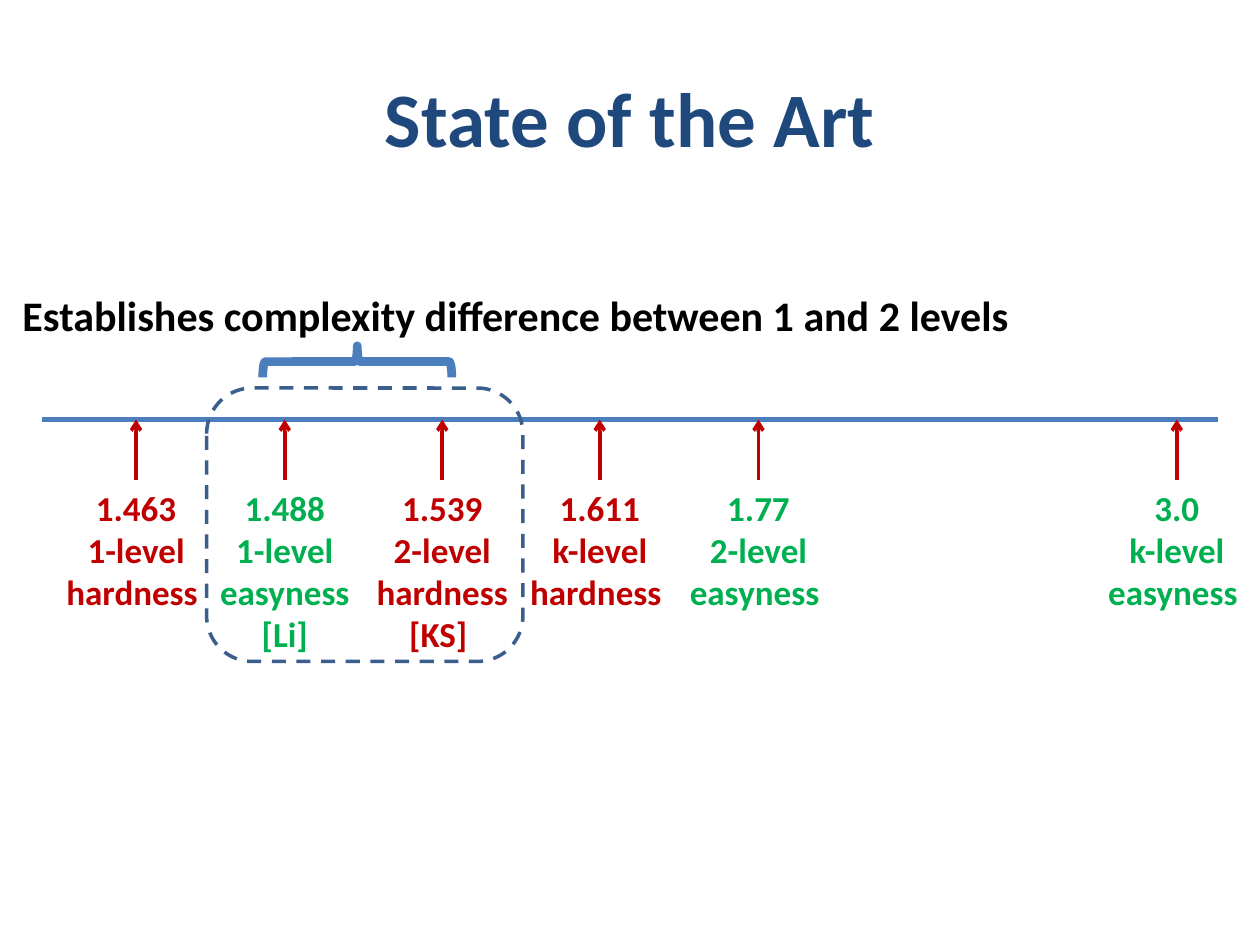
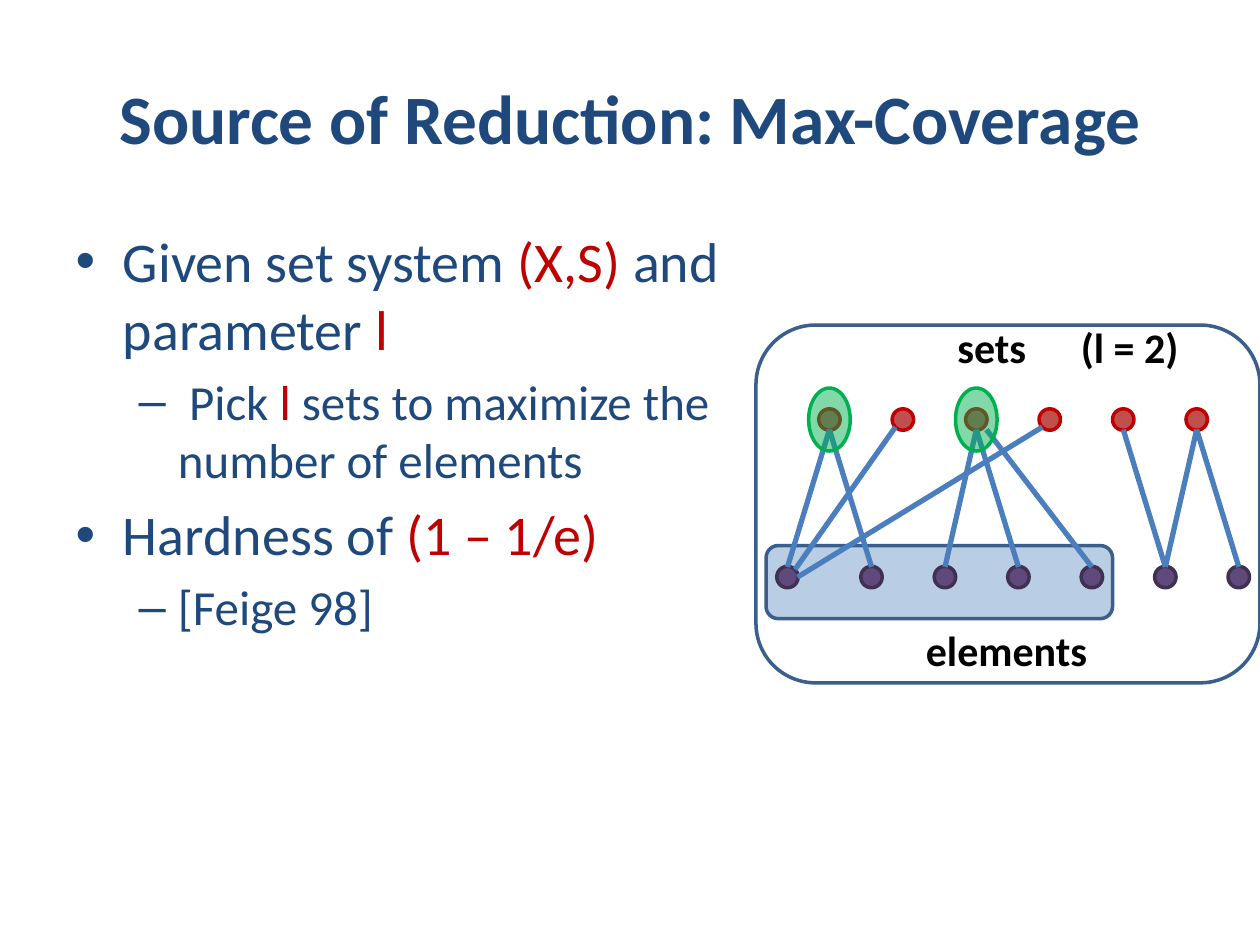
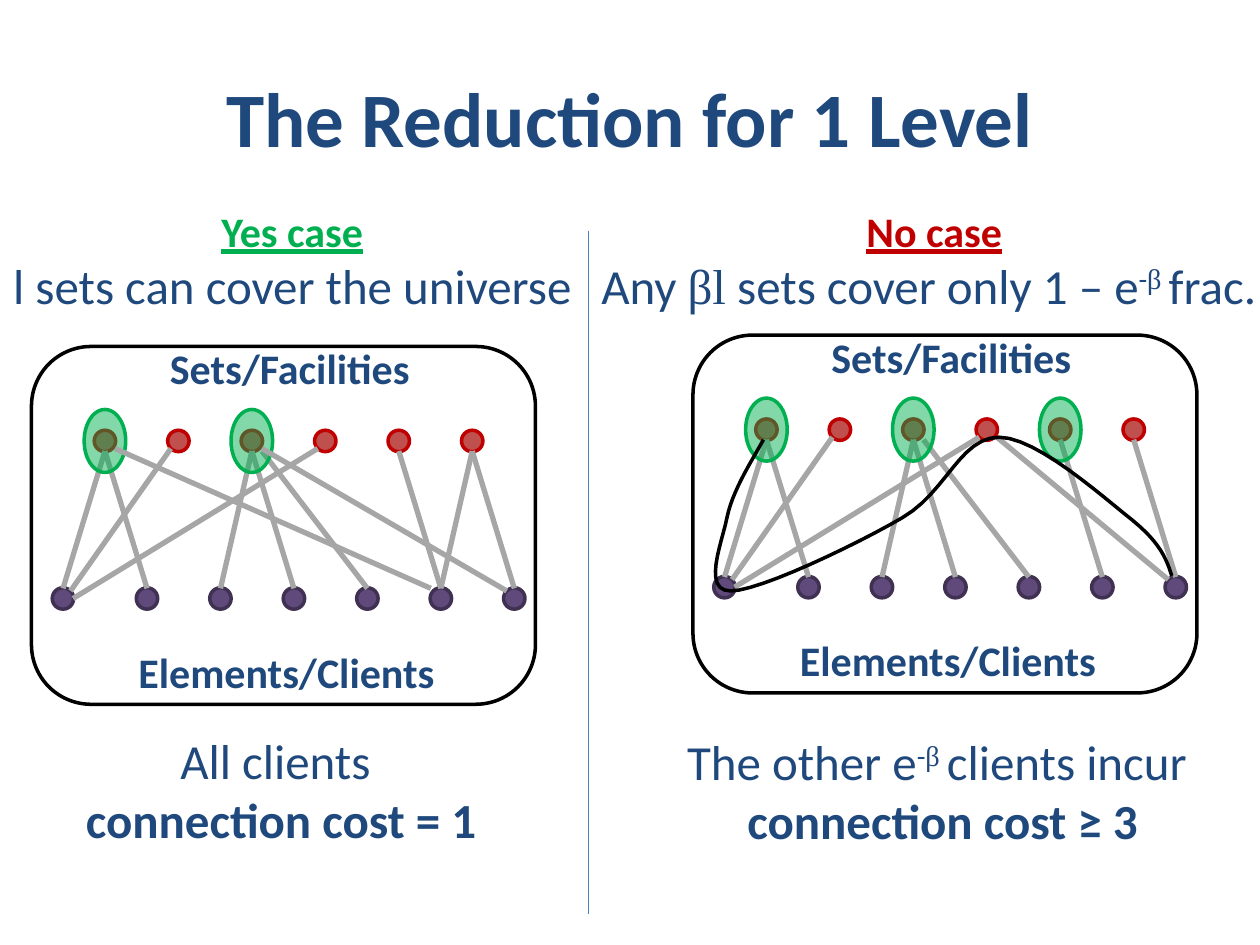
from lxml.etree import SubElement
from pptx import Presentation
from pptx.dml.color import RGBColor
from pptx.enum.dml import MSO_LINE
from pptx.enum.shapes import MSO_CONNECTOR, MSO_SHAPE
from pptx.enum.text import MSO_ANCHOR, PP_ALIGN
from pptx.oxml.ns import qn
from pptx.util import Inches, Pt

COLORS = {
    "navy": "1F497D", "blue": "4B7EBC", "outline": "3A5F8C", "pale": "B9CDE5",
    "red": "C00000", "brick": "C0504D", "green": "00B050", "purple": "604A7B",
    "plum": "403152", "gray": "A6A6A6", "black": "000000",
}
FONT = "Calibri"
GREEK = {"font": "Times New Roman"}
GREEK_POWER = {"font": "Times New Roman", "raised": True}
POWER = {"raised": True}
RED = {"color": "red"}

DOT = 0.17
PITCH = 0.583
SET_Y, ELEMENT_Y = 0.75, 2.0
TOP, BOTTOM = (0, -0.08), (0, 0.08)
RIGHT, CORNER = (0.08, 0), (0.08, 0.08)
UPPER_LEFT, UPPER_RIGHT = (-0.06, -0.06), (0.06, -0.06)
LOWER_LEFT, LOWER_RIGHT = (-0.06, 0.06), (0.08, 0.06)


def rgb(name):
    return RGBColor.from_string(COLORS[name])


def line_of(*spans, **style):
    return spans, style


def set_center(index):
    return 0.583 + PITCH * index, SET_Y


def element_center(index):
    return (0.25 if index == 0 else 0.917 + PITCH * (index - 1)), ELEMENT_Y


def edge(element, chosen_set, element_port=TOP, set_port=BOTTOM):
    ends = ((element_center(element), element_port), (set_center(chosen_set), set_port))
    return [(x + dx, y + dy) for (x, y), (dx, dy) in ends]


def bezier(start, segments, steps=12):
    points = [start]
    for first, second, end in segments:
        corners = (points[-1], first, second, end)
        for step in range(1, steps + 1):
            t = step / steps
            weights = ((1 - t) ** 3, 3 * t * (1 - t) ** 2, 3 * t * t * (1 - t), t ** 3)
            points.append(tuple(sum(w * c[axis] for w, c in zip(weights, corners))
                                for axis in (0, 1)))
    return points


class Painter:
    def __init__(self):
        self.deck = Presentation()
        self.deck.slide_width, self.deck.slide_height = Inches(10), Inches(7.5)
        self.page = None

    def start(self, title, size=44, layout="Title Only"):
        self.page = self.deck.slides.add_slide(self.deck.slide_layouts.get_by_name(layout))
        box = self.page.shapes.title
        box.left, box.top, box.width, box.height = map(Inches, (0.5, 0.3, 9, 1.25))
        box.text_frame.vertical_anchor = MSO_ANCHOR.MIDDLE
        self.set_paragraph(box.text_frame.paragraphs[0], [title], size, bold=True,
                           align=PP_ALIGN.CENTER)

    def set_paragraph(self, paragraph, spans, size, color="navy", bold=False,
                      underline=None, align=None):
        paragraph.alignment = align
        font = paragraph.font
        font.name, font.size, font.bold = FONT, Pt(size), bold
        font.underline = underline
        font.color.rgb = rgb(color)
        for item in spans:
            words, style = (item, {}) if isinstance(item, str) else item
            span = paragraph.add_run()
            span.text = words
            if "color" in style:
                span.font.color.rgb = rgb(style["color"])
            if "font" in style:
                span.font.name = style["font"]
            if "raised" in style:
                span._r.get_or_add_rPr().set("baseline", "30000")

    def fill_frame(self, frame, lines, **common):
        for index, (spans, style) in enumerate(lines):
            paragraph = frame.add_paragraph() if index else frame.paragraphs[0]
            self.set_paragraph(paragraph, spans, **{**common, **style})

    def text(self, at, lines, **common):
        box = self.page.shapes.add_textbox(*map(Inches, at))
        box.text_frame.word_wrap = False
        self.fill_frame(box.text_frame, lines, **common)

    def bullets(self, at, lines):
        box = self.page.placeholders[1]
        box.left, box.top, box.width, box.height = map(Inches, at)
        self.fill_frame(box.text_frame, [(spans, {"size": 28 if level else 32})
                                         for level, spans in lines])
        for paragraph, (level, _) in zip(box.text_frame.paragraphs, lines):
            paragraph.level = level

    def finish(self, shape, line, width, fill=None, alpha=None):
        shape.shadow.inherit = False
        shape.line.color.rgb, shape.line.width = rgb(line), Pt(width)
        if fill is None:
            shape.fill.background()
            return
        shape.fill.solid()
        shape.fill.fore_color.rgb = rgb(fill)
        if alpha:
            tint = shape._element.spPr.find(qn("a:solidFill"))[0]
            SubElement(tint, qn("a:alpha")).set("val", str(alpha * 1000))

    def shape(self, kind, at, line, width=2, **fill):
        shape = self.page.shapes.add_shape(kind, *map(Inches, at))
        self.finish(shape, line, width, **fill)
        return shape

    def oval(self, center, width, height, line, **fill):
        x, y = center
        self.shape(MSO_SHAPE.OVAL, (x - width / 2, y - height / 2, width, height),
                   line, **fill)

    def line(self, start, end, color, width=3, arrow=False):
        wire = self.page.shapes.add_connector(MSO_CONNECTOR.STRAIGHT,
                                              *map(Inches, (*start, *end)))
        wire.line.color.rgb, wire.line.width = rgb(color), Pt(width)
        if arrow:
            outline = wire._element.spPr.find(qn("a:ln"))
            SubElement(outline, qn("a:tailEnd")).set("type", "arrow")
        SubElement(wire._element.spPr, qn("a:effectLst"))

    def curve(self, points, color):
        points = [(Inches(x), Inches(y)) for x, y in points]
        builder = self.page.shapes.build_freeform(*points[0])
        builder.add_line_segments(points[1:], close=False)
        self.finish(builder.convert_to_shape(), color, 2)

    def graph(self, left, top, edges, top_edges, chosen, wire, frame):
        def place(point):
            return left + point[0], top + point[1]

        def draw(group):
            for element_end, set_end in group:
                self.line(place(element_end), place(set_end), wire)

        for index in range(6):
            self.oval(place(set_center(index)), DOT, DOT, "red", fill="brick")
        for index in range(7):
            self.oval(place(element_center(index)), DOT, DOT, "plum", fill="purple")
        draw(edges)
        self.shape(MSO_SHAPE.ROUNDED_RECTANGLE, (left, top, 4, 2.84), frame)
        for index in chosen:
            self.oval(place(set_center(index)), 0.33, 0.5, "green", fill="green", alpha=49)
        draw(top_edges)


SHARED_EDGES = [
    edge(0, 0), edge(1, 0), edge(2, 2), edge(3, 2), edge(4, 2, set_port=CORNER),
    edge(6, 5), edge(0, 1, UPPER_RIGHT, LOWER_LEFT), edge(0, 3, RIGHT, LOWER_LEFT),
    edge(5, 4),
]

painter = Painter()

painter.start("State of the Art")
painter.line((0.33, 3.33), (9.67, 3.33), "blue")
RESULTS = [
    (1.08, "red", ["1.463", "1-level", "hardness "]),
    (2.26, "green", ["1.488", "1-level", "easyness", "[Li]"]),
    (3.51, "red", ["1.539", "2-level", "hardness", "[KS] "]),
    (4.76, "red", ["1.611", "k-level", "hardness "]),
    (6.02, "green", ["1.77", "2-level", "easyness "]),
    (9.34, "green", ["3.0", "k-level", "easyness "]),
]
for x, color, words in RESULTS:
    painter.text((x - 0.66, 3.81, 1.32, 0.1 + len(words) / 3),
                 [line_of(word) for word in words],
                 size=20, color=color, bold=True, align=PP_ALIGN.CENTER)
    painter.line((x, 3.81), (x, 3.33), "red", 2, arrow=True)
brace = painter.shape(MSO_SHAPE.LEFT_BRACE, (2.71, 2.12, 0.25, 1.5), "blue", 5)
brace.rotation = 90
painter.text((0.08, 2.25, 8.12, 0.5),
             [line_of("Establishes complexity difference between 1 and 2 levels")],
             size=24, color="black", bold=True)
gap_box = painter.shape(MSO_SHAPE.ROUNDED_RECTANGLE, (1.64, 3.08, 2.51, 2.17), "outline")
gap_box.line.dash_style = MSO_LINE.DASH

painter.start("Source of Reduction: Max-Coverage", 39.6, "Title and Content")
painter.bullets((0.5, 1.75, 6.17, 4.95), [
    (0, ["Given set system ", ("(X,S)", RED), " and parameter ", ("l", RED)]),
    (1, [" Pick ", ("l", RED), " sets to maximize the number of elements"]),
    (0, ["Hardness of ", ("(1 – 1/e)", RED)]),
    (1, ["[Feige 98]"]),
])
painter.shape(MSO_SHAPE.ROUNDED_RECTANGLE, (6.08, 4.33, 2.75, 0.58), "outline", fill="pale")
painter.graph(6, 2.58, SHARED_EDGES + [edge(5, 5)], [], (0, 2), "blue", "outline")
for at, words in [((7.5, 2.5, 0.76, 0.5), "sets"),
                  ((7.25, 4.91, 1.5, 0.5), "elements"),
                  ((8.48, 2.5, 0.98, 0.5), "(l = 2)")]:
    painter.text(at, [line_of(words)], size=24, color="black", bold=True)

painter.start("The Reduction for 1 Level")
CASES = [
    (0.25, 2.75, [edge(5, 5)],
     [edge(5, 0, (-0.08, -0.08), LOWER_RIGHT), edge(6, 2, UPPER_LEFT, LOWER_RIGHT)],
     (0, 2)),
    (5.5, 2.66, [], [edge(6, 3, UPPER_LEFT, LOWER_RIGHT)], (0, 2, 4)),
]
for left, top, edges, top_edges, chosen in CASES:
    painter.graph(left, top, SHARED_EDGES + edges, top_edges, chosen, "gray", "black")
    painter.text((left + 1, top - 0.08, 2.13, 0.5), [line_of("Sets/Facilities")],
                 size=24, bold=True)
    painter.text((left + 0.75, top + 2.33, 2.58, 0.5), [line_of("Elements/Clients")],
                 size=24, bold=True)
painter.line((4.67, 1.83), (4.67, 7.25), "blue", 0.75)

HEADING = {"size": 24, "bold": True, "underline": True}
CAPTIONS = [
    ((-0.02, 1.58, 4.68, 0.98),
     [line_of("Yes case", color="green", **HEADING),
      line_of("l sets can cover the universe")]),
    ((0.56, 5.75, 3.34, 1.04),
     [line_of("All clients "), line_of("connection cost = 1", bold=True)]),
    ((4.61, 1.58, 5.61, 0.98),
     [line_of("No case", color="red", **HEADING),
      line_of("Any ", ("βl", GREEK), " sets cover only 1 – e", ("-", POWER),
              ("β ", GREEK_POWER), "frac. ")]),
    ((5.31, 5.76, 4.34, 1.04),
     [line_of("The other e", ("-", POWER), ("β ", GREEK_POWER), "clients incur "),
      line_of("connection cost ≥ 3", bold=True)]),
]
for at, lines in CAPTIONS:
    painter.text(at, lines, size=28, align=PP_ALIGN.CENTER)

painter.curve(bezier((9.3, 4.57), [
    ((9.26, 4.44), (9.21, 4.31), (8.99, 4.13)),
    ((8.76, 3.95), (8.23, 3.47), (7.93, 3.47)),
    ((7.62, 3.47), (7.51, 3.91), (7.16, 4.11)),
    ((6.8, 4.32), (6.03, 4.69), (5.8, 4.69)),
    ((5.57, 4.69), (5.73, 4.31), (5.77, 4.11)),
    ((5.81, 3.91), (5.94, 3.7), (6.06, 3.49)),
]), "black")

painter.deck.save("out.pptx")
